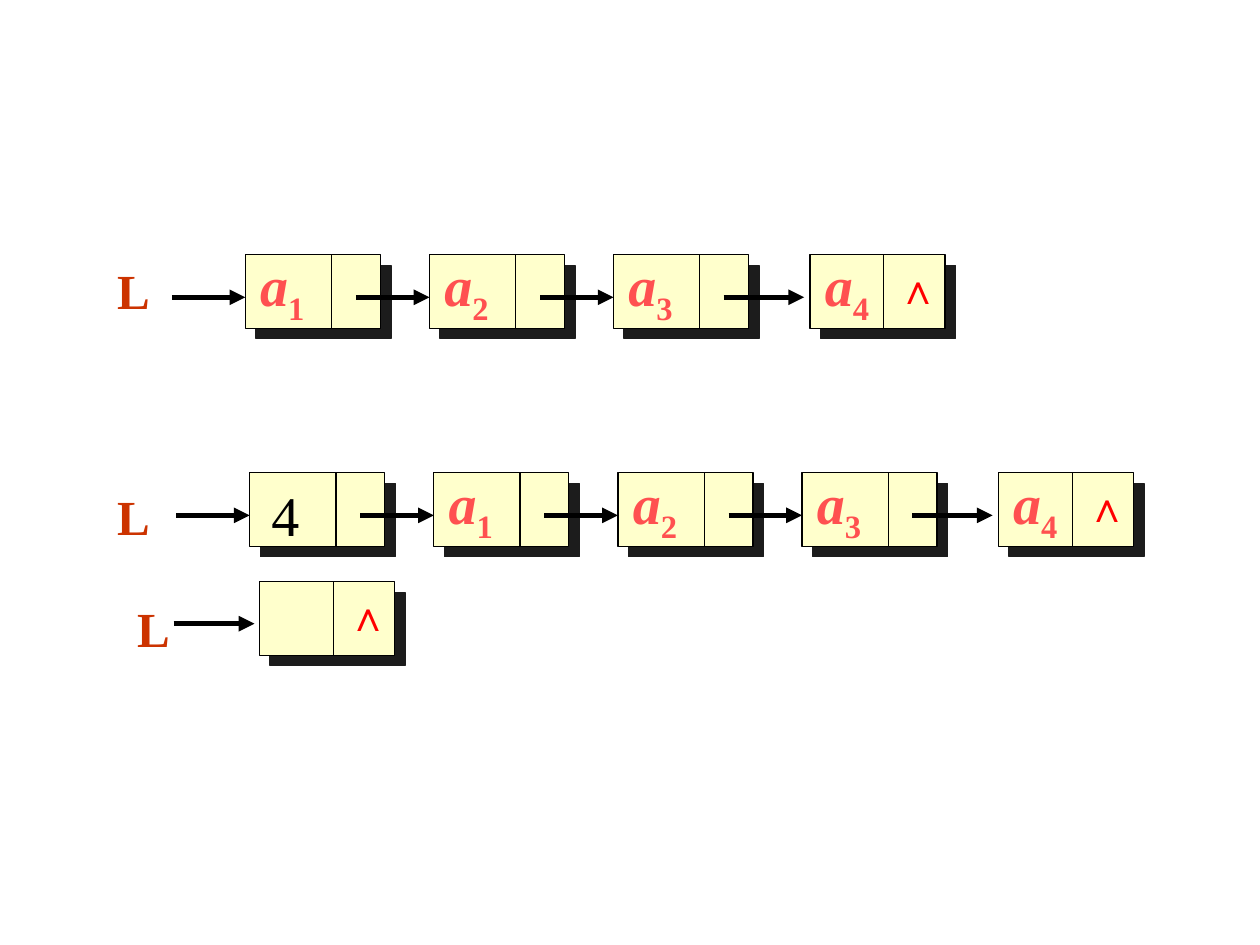
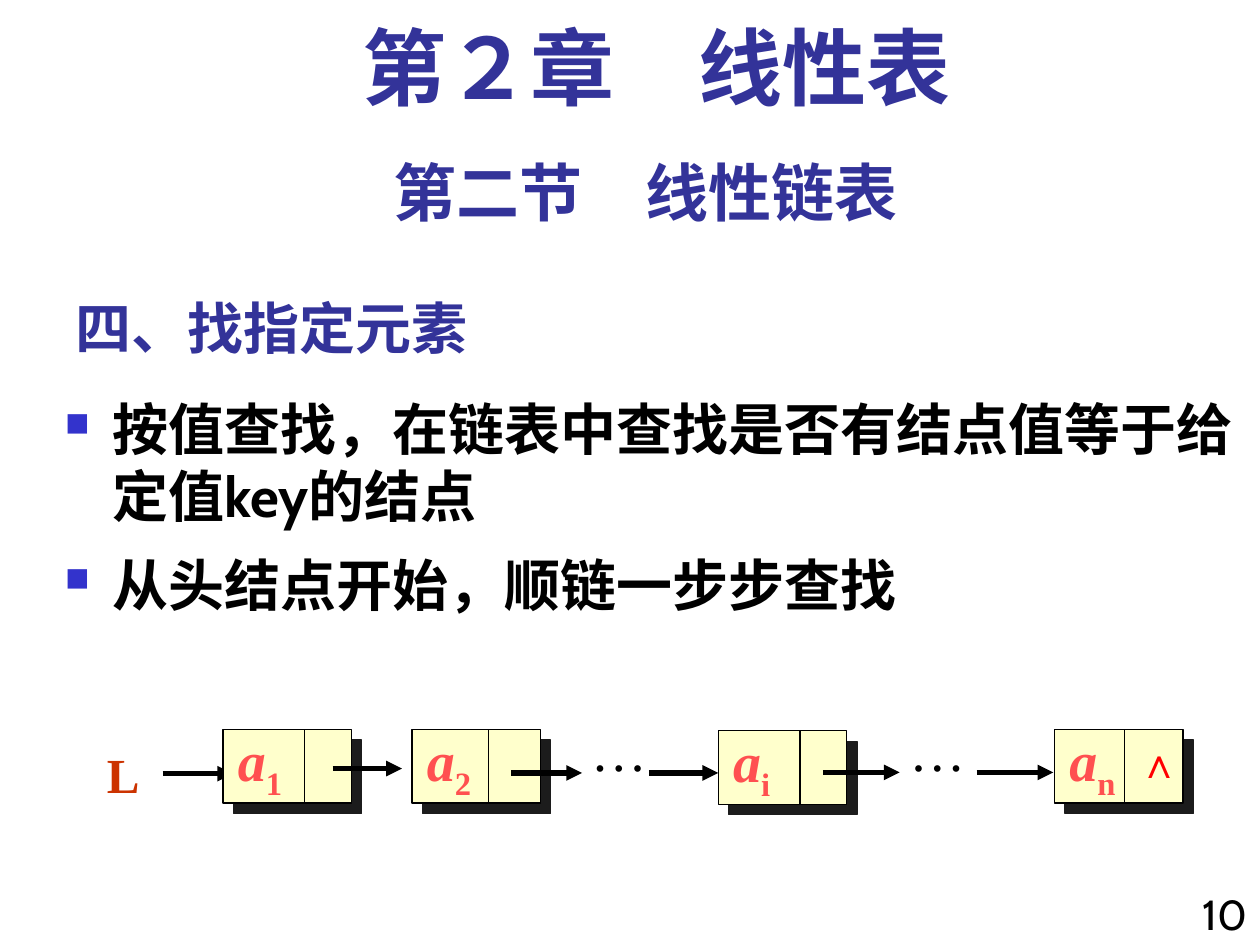
import pptx
import pptx.util
import pptx.dml.color
import pptx.enum.dml
import pptx.enum.shapes
import pptx.enum.text
import pptx.oxml
import pptx.oxml.ns

Pt = pptx.util.Pt
RGBColor = pptx.dml.color.RGBColor
ALIGN = pptx.enum.text.PP_ALIGN
ANCHOR = pptx.enum.text.MSO_ANCHOR

BLACK = RGBColor(0x00, 0x00, 0x00)
NODE_FILL = RGBColor(0xFF, 0xFF, 0xCC)
SHADOW = RGBColor(0x1C, 0x1C, 0x1C)
ELEMENT = RGBColor(0xFF, 0x50, 0x50)
NIL = RGBColor(0xFF, 0x00, 0x00)
HEAD = RGBColor(0xCC, 0x33, 0x00)
HEADING = RGBColor(0x33, 0x33, 0x99)
BULLET = RGBColor(0x33, 0x33, 0xCC)

SERIF = "Times New Roman"
SANS = "Cabin"
CJK = "Noto Sans CJK SC"
NAMESPACE = pptx.oxml.ns.nsdecls("a")
NODE_HEIGHT = 42


def add_text(slide, text, left, top, width, height, holder=None, font=SERIF, asian=CJK,
             size=32, color=BLACK, bold=False, italic=False, subscript="", align=ALIGN.LEFT,
             anchor=ANCHOR.TOP, wrap=True, before=0, spacing=1.0, bulleted=False):
    box = holder or slide.shapes.add_textbox(0, 0, 0, 0)
    box.left, box.top, box.width, box.height = Pt(left), Pt(top), Pt(width), Pt(height)
    frame = box.text_frame
    frame.word_wrap = wrap
    frame.auto_size = pptx.enum.text.MSO_AUTO_SIZE.NONE
    frame.vertical_anchor = anchor
    frame.text = text
    for paragraph in frame.paragraphs:
        paragraph.alignment = align
        paragraph.space_before = Pt(before)
        paragraph.line_spacing = spacing
        if subscript:
            paragraph.add_run().text = subscript
        for position, run in enumerate(paragraph.runs):
            run.font.name = font
            run.font.size = Pt(size)
            run.font.bold = bold
            run.font.italic = italic and position == 0
            run.font.color.rgb = color
            properties = run._r.get_or_add_rPr()
            if asian:
                properties.find(pptx.oxml.ns.qn("a:latin")).addnext(
                    pptx.oxml.parse_xml(f'<a:ea {NAMESPACE} typeface="{asian}"/>'))
            if position:
                properties.set("baseline", "-25000")
        if bulleted:
            properties = paragraph._p.get_or_add_pPr()
            properties.set("marL", str(Pt(27)))
            properties.set("indent", str(Pt(-27)))
            for bullet in (f'<a:buClr {NAMESPACE}><a:srgbClr val="{BULLET}"/></a:buClr>',
                           f'<a:buSzPct {NAMESPACE} val="60000"/>',
                           f'<a:buChar {NAMESPACE} char="■"/>'):
                properties.append(pptx.oxml.parse_xml(bullet))


def add_line(slide, x1, y1, x2, y2, arrow=False):
    line = slide.shapes.add_connector(
        pptx.enum.shapes.MSO_CONNECTOR.STRAIGHT, Pt(x1), Pt(y1), Pt(x2), Pt(y2))
    line.line.color.rgb = BLACK
    line.line.width = Pt(3 if arrow else 0.75)
    if arrow:
        line.line._get_or_add_ln().append(
            pptx.oxml.parse_xml(f'<a:tailEnd {NAMESPACE} type="triangle"/>'))
    line._element.spPr.append(pptx.oxml.parse_xml(f"<a:effectLst {NAMESPACE}/>"))


deck = pptx.Presentation()
deck.slide_width, deck.slide_height = Pt(720), Pt(540)
lists_slide = deck.slides.add_slide(deck.slide_layouts[6])
search_slide = deck.slides.add_slide(deck.slide_layouts[5])

add_text(search_slide, "四、找指定元素", 36, 156, 450, 54, holder=search_slide.shapes.title,
         font=CJK, color=HEADING, bold=True, anchor=ANCHOR.BOTTOM)
add_text(search_slide, "10", 671.8, 504, 48.2, 42.5, font=SANS, size=24,
         align=ALIGN.RIGHT, before=15)
add_text(search_slide, "第二节　线性链表", 36, 84, 666, 50.4, font=SANS, size=36,
         color=HEADING, bold=True, align=ALIGN.CENTER, before=22.5)
add_text(search_slide, "按值查找，在链表中查找是否有结点值等于给定值key的结点\n从头结点开始，顺链一步步查找",
         30, 222, 690, 318, font=SANS, bold=True, before=12, bulleted=True)
add_text(search_slide, "第２章　线性表", 48, 12, 654, 60, size=48, color=HEADING,
         bold=True, align=ALIGN.CENTER, before=12, spacing=0.9)

nodes = []
for first_left, row_top, labels in ((140.2, 145.6, "123"), (142.7, 270.2, "4123")):
    for place, label in enumerate(labels):
        left = first_left + 105.2 * place
        nodes.append((lists_slide, left, row_top, 77.2, 49.3, label,
                      [(left - 42, left)], row_top + 24.3))
    left = first_left + 105.2 * len(labels) + 7
    nodes.append((lists_slide, left, row_top, 77.2, 42.2, "4^",
                  [(left - 49.3, left - 3.3)], row_top + 24.3))
nodes.append((lists_slide, 148.3, 332.5, 77.2, 42.2, "^", [(99.2, 145.4)], 356.4))
nodes += [
    (search_slide, 127.4, 416.9, 73.4, 46.8, "1", [(92.9, 133.2)], 442.1),
    (search_slide, 235.4, 416.9, 73.4, 43.9, "2", [(190.1, 229.7)], 439.2),
    (search_slide, 410.4, 417.6, 73.4, 46.8, "i", [(292.3, 332.6), (370.8, 410.4)], 441.7),
    (search_slide, 602.6, 416.9, 73.4, 39.8, "n^", [(470.2, 514.1), (558, 601.9)], 441.4),
]

for slide, left, top, width, divider, label, arrows, arrow_y in nodes:
    for start, end in arrows:
        add_line(slide, start, arrow_y, end, arrow_y, arrow=True)
    node = slide.shapes.add_shape(pptx.enum.shapes.MSO_SHAPE.RECTANGLE,
                                  Pt(left), Pt(top), Pt(width), Pt(NODE_HEIGHT))
    node.fill.solid()
    node.fill.fore_color.rgb = NODE_FILL
    node.line.color.rgb = BLACK
    node.line.width = Pt(0.75)
    node.shadow.inherit = False
    node._element.spPr.find(pptx.oxml.ns.qn("a:effectLst")).append(pptx.oxml.parse_xml(
        f'<a:outerShdw {NAMESPACE} dist="{Pt(8.5)}" dir="2700000" algn="ctr" rotWithShape="0">'
        f'<a:srgbClr val="{SHADOW}"/></a:outerShdw>'))
    add_line(slide, left + divider, top, left + divider, top + NODE_HEIGHT)
    element = label.rstrip("^")
    if element == "4" and label == "4":
        add_text(slide, "4", left + 2, top + 0.6, 36.7, 46, align=ALIGN.CENTER)
    elif element:
        add_text(slide, "a", left + 1.4, top - 6, 39.6, 51, color=ELEMENT, bold=True,
                 italic=True, subscript=element, wrap=False)
    if label.endswith("^"):
        add_text(slide, "∧", left + divider + 1, top + 0.7, 33.8, 36, font="Arial",
                 asian=None, size=24, color=NIL, bold=True)

for slide, left, top in ((lists_slide, 59.8, 145.4), (lists_slide, 59.8, 274.3),
                         (lists_slide, 71.3, 338.4), (search_slide, 54, 421.9)):
    add_text(slide, "L", left, top, 33.1, 41, size=28, color=HEAD, bold=True, wrap=False)
for left in (330.5, 512.6):
    add_text(search_slide, "…", left, 405.4, 39.6, 46, before=20)

deck.save("out.pptx")
